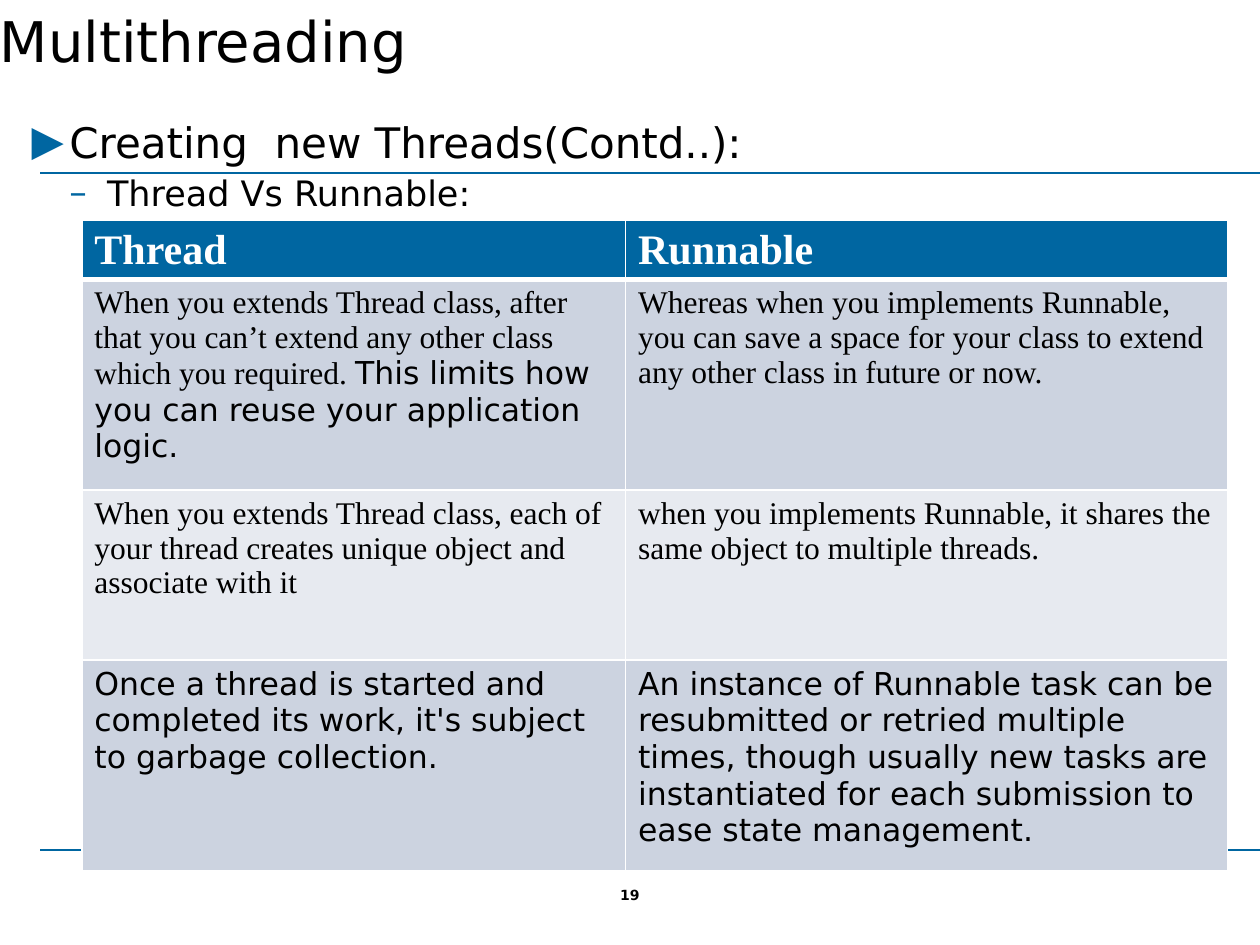
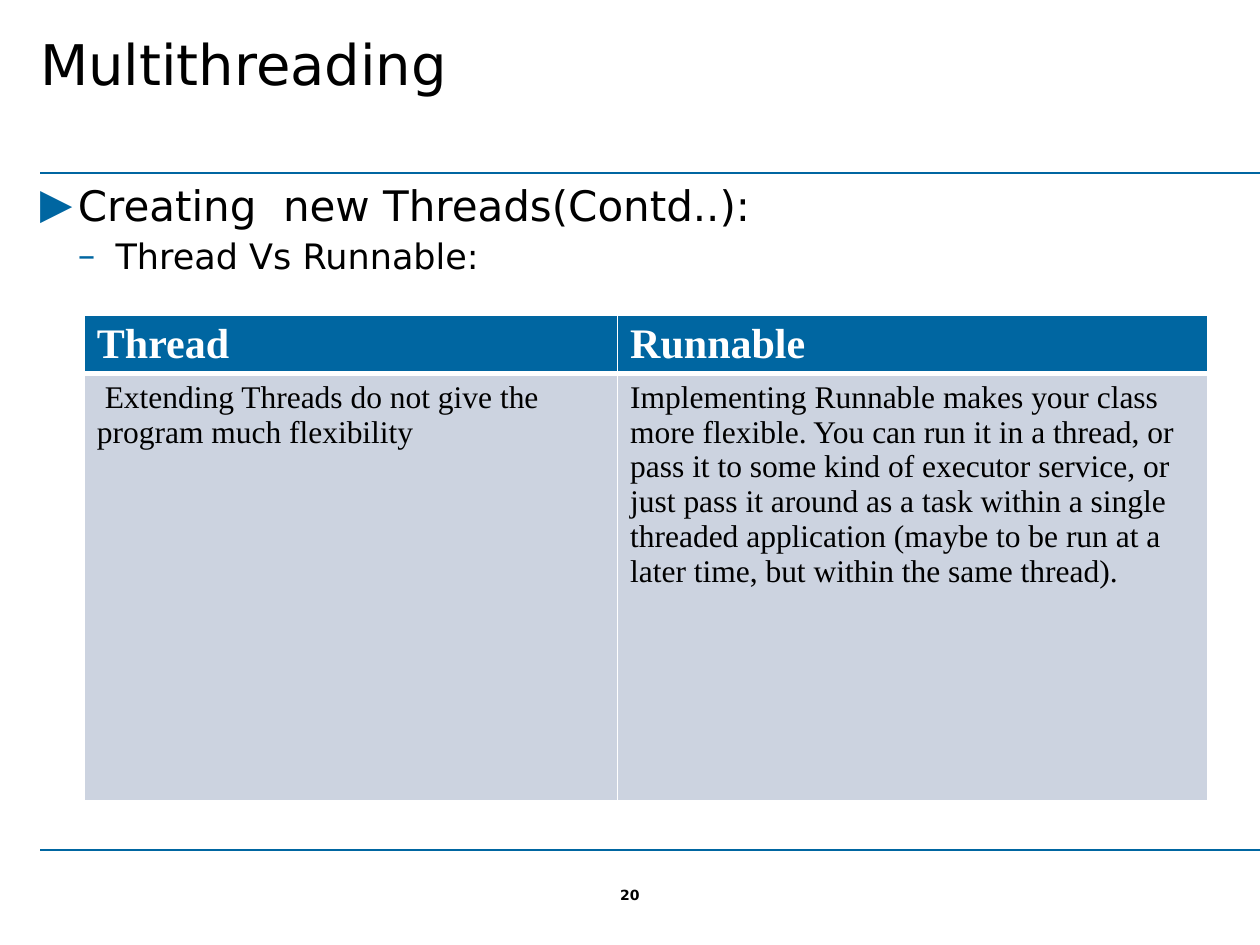
from dataclasses import dataclass

from lxml.etree import SubElement
from pptx import Presentation
from pptx.dml.color import RGBColor as Rgb
from pptx.enum.shapes import MSO_CONNECTOR as Link
from pptx.enum.text import MSO_ANCHOR as Anchor, PP_ALIGN as Align
from pptx.oxml.ns import qn
from pptx.util import Cm, Pt


@dataclass(frozen=True)
class Theme:
    # Colours
    blue: str = "0066A1"
    dark: str = "CCD3E0"
    pale: str = "E7EAF0"
    white: str = "FFFFFF"
    black: str = "000000"
    # Fonts
    sans: str = "DejaVu Sans"
    serif: str = "Times New Roman"
    # Type sizes and line widths in points
    title: int = 32
    head: int = 24
    sub: int = 20
    cell: int = 18
    page: int = 8
    rule: float = 1.25
    thin: int = 1
    thick: int = 3


THEME = Theme()
SANS, SERIF = THEME.sans, THEME.serif

# Shared layout in centimetres
WIDTH, HEIGHT = 25.4, 19.05
RULE_LEFT, RULE_RIGHT = 0.81, 25.43
RULE_TOPS = (3.49, 17.14)
PAGE_AREA = (12.42, 17.88, 0.56, 0.33)
INDENT = 0.76

# Wording: each bullet is mark, text, size
TITLE = "Multithreading"
BULLETS = (
    ("▶", "Creating  new Threads(Contd..):", THEME.head),
    ("–", "Thread Vs Runnable:", THEME.sub),
)
HEADS = ("Thread", "Runnable")

# Table rows: each cell is a list of (text, font) runs
LIMITS = [
    ([("When you extends Thread class, after that you can’t extend any "
       "other class which you required. ", SERIF),
      ("This limits how you can reuse your application logic.", SANS)],
     [("Whereas when you implements Runnable, you can save a space for your "
       "class to extend any other class in future or now.", SERIF)]),
    ([("When you extends Thread class, each of your thread creates unique "
       "object and associate with it", SERIF)],
     [("when you implements Runnable, it shares the same object to multiple "
       "threads.", SERIF)]),
    ([("Once a thread is started and completed its work, it's subject to "
       "garbage collection.", SANS)],
     [("An instance of Runnable task can be resubmitted or retried multiple "
       "times, though usually new tasks are instantiated for each submission "
       "to ease state management.", SANS)]),
]
FLEX = [
    ([(" Extending Threads do not give the program much flexibility", SERIF)],
     [("Implementing Runnable makes your class more flexible. You can run it "
       "in a thread, or pass it to some kind of executor service, or just "
       "pass it around as a task within a single threaded application (maybe "
       "to be run at a later time, but within the same thread).", SERIF)]),
]


# Text
def write(para, text, size, font=SANS, color=THEME.black, bold=False):
    run = para.add_run()
    run.text = text
    run.font.size = Pt(size)
    run.font.name = font
    run.font.bold = bold
    run.font.color.rgb = Rgb.from_string(color)


def add_box(slide, area, inset=0, wrap=True):
    frame = slide.shapes.add_textbox(*map(Cm, area)).text_frame
    frame.word_wrap = wrap
    frame.margin_left = frame.margin_right = 0
    frame.margin_top = frame.margin_bottom = Cm(inset)
    return frame


def add_color(parent, tag, color):
    SubElement(SubElement(parent, qn(tag)), qn("a:srgbClr"), val=color)


def add_bullet(para, mark, level):
    para.space_after = Pt(3)
    props = para._p.get_or_add_pPr()
    props.set("marL", str(Cm(INDENT * level)))
    props.set("indent", str(-Cm(INDENT)))
    add_color(props, "a:buClr", THEME.blue)
    SubElement(props, qn("a:buFont"), typeface=SANS)
    SubElement(props, qn("a:buChar"), char=mark)


# Parts shared by the slides
def add_rule(slide, top):
    rule = slide.shapes.add_connector(
        Link.STRAIGHT, Cm(RULE_LEFT), Cm(top), Cm(RULE_RIGHT), Cm(top))
    rule.line.color.rgb = Rgb.from_string(THEME.blue)
    rule.line.width = Pt(THEME.rule)
    SubElement(rule._element.spPr, qn("a:effectLst"))


def add_number(slide, number):
    frame = add_box(slide, PAGE_AREA, wrap=False)
    frame.vertical_anchor = Anchor.MIDDLE
    para = frame.paragraphs[0]
    para.alignment = Align.CENTER
    write(para, str(number), THEME.page, bold=True)


def add_title(slide, area):
    frame = add_box(slide, area, inset=0.13)
    write(frame.paragraphs[0], TITLE, THEME.title)


def add_list(slide, area):
    frame = add_box(slide, area)
    for level, (mark, text, size) in enumerate(BULLETS, 1):
        para = frame.paragraphs[0] if level == 1 else frame.add_paragraph()
        add_bullet(para, mark, level)
        write(para, text, size)


def add_page(deck, number, title, body):
    slide = deck.slides.add_slide(deck.slide_layouts[6])
    add_number(slide, number)
    for top in RULE_TOPS:
        add_rule(slide, top)
    add_title(slide, title)
    add_list(slide, body)
    return slide


# Table
def add_edges(cell, top=THEME.thin, bottom=THEME.thin):
    props = cell._tc.get_or_add_tcPr()
    widths = {"L": THEME.thin, "R": THEME.thin, "T": top, "B": bottom}
    for side, width in widths.items():
        edge = SubElement(props, qn("a:ln" + side), w=str(Pt(width)))
        add_color(edge, "a:solidFill", THEME.white)


def fill_cell(cell, runs, shade, size, **style):
    cell.fill.solid()
    cell.fill.fore_color.rgb = Rgb.from_string(shade)
    for text, font in runs:
        write(cell.text_frame.paragraphs[0], text, size, font, **style)


def fill_head(row):
    for cell, name in zip(row.cells, HEADS):
        add_edges(cell, bottom=THEME.thick)
        fill_cell(cell, [(name, SERIF)], THEME.blue, THEME.head,
                  color=THEME.white, bold=True)
        cell.margin_bottom = Cm(0.04)


def fill_row(row, texts, index):
    # Odd rows are dark; the first one meets the thick line of the head
    shade = THEME.dark if index % 2 else THEME.pale
    top = THEME.thick if index == 1 else THEME.thin
    for cell, runs in zip(row.cells, texts):
        add_edges(cell, top=top)
        fill_cell(cell, runs, shade, THEME.cell)


def add_grid(slide, left, top, widths, heights, texts):
    table = slide.shapes.add_table(
        len(heights), len(widths), Cm(left), Cm(top),
        Cm(sum(widths)), Cm(sum(heights))).table
    for col, width in zip(table.columns, widths):
        col.width = Cm(width)
    for row, height in zip(table.rows, heights):
        row.height = Cm(height)

    head, *rows = table.rows
    fill_head(head)
    for index, (row, cells) in enumerate(zip(rows, texts), 1):
        fill_row(row, cells, index)


def main():
    deck = Presentation()
    deck.slide_width, deck.slide_height = Cm(WIDTH), Cm(HEIGHT)

    # Limits of each way
    slide = add_page(deck, 19, title=(0, 0, 26.47, 3.81),
                     body=(0.64, 2.34, 24.1, 14.2))
    add_grid(slide, left=1.65, top=4.45, widths=(10.96, 12.13),
             heights=(1.07, 4.24, 3.43, 4.24), texts=LIMITS)

    # Flexibility
    slide = add_page(deck, 20, title=(RULE_LEFT, 0.46, 24.1, 3.35),
                     body=(RULE_LEFT, 3.61, 24.1, 13.03))
    add_grid(slide, left=1.7, top=6.35, widths=(10.75, 11.9),
             heights=(1.12, 8.61), texts=FLEX)

    deck.save("out.pptx")


if __name__ == "__main__":
    main()
